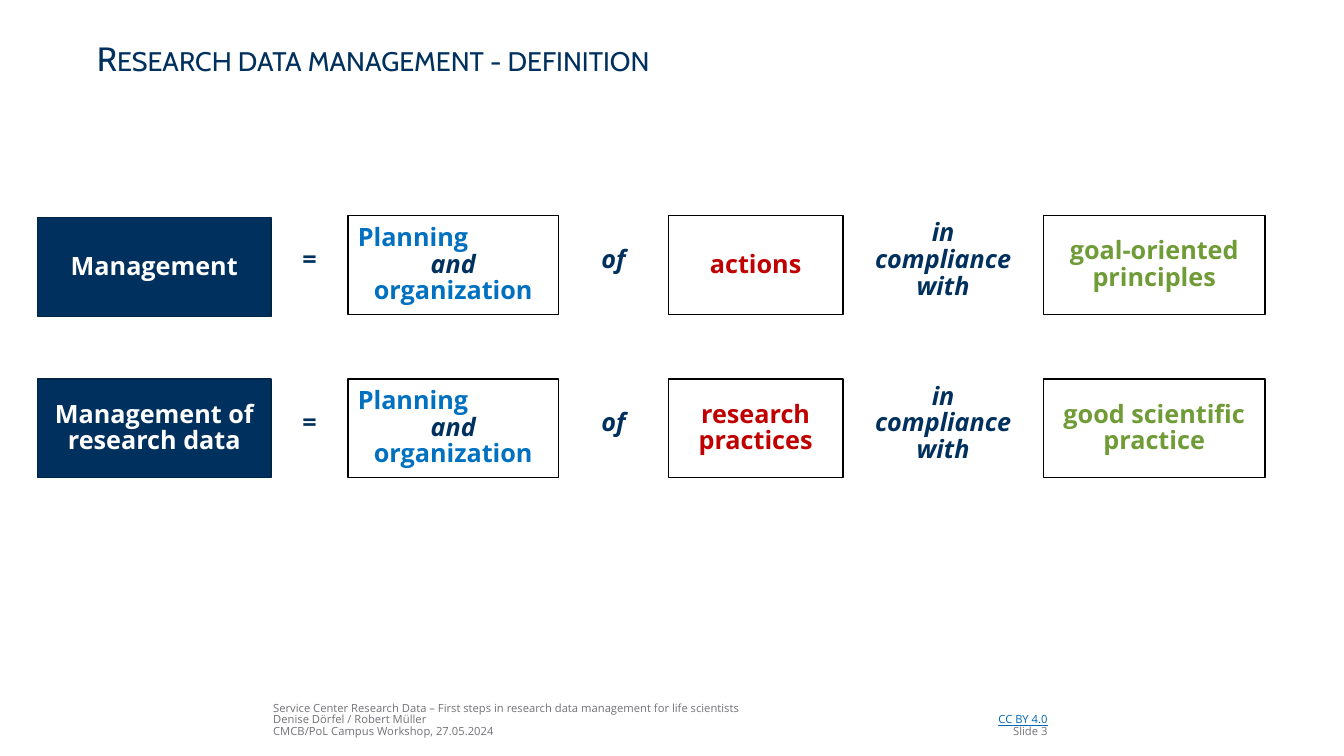
from dataclasses import dataclass
from itertools import accumulate

from lxml.etree import SubElement
from pptx import Presentation
from pptx.dml.color import RGBColor
from pptx.enum.shapes import MSO_SHAPE as Preset
from pptx.enum.text import MSO_ANCHOR as Anchor, MSO_AUTO_SIZE as AutoSize, PP_ALIGN as Align
from pptx.oxml.ns import qn
from pptx.util import Inches, Pt

SLIDE_WIDTH, SLIDE_HEIGHT = Inches(13.33), Inches(7.5)
COLORS = {
    "navy": "00305D",
    "navy edge": "002445",
    "white": "FFFFFF",
    "black": "000000",
    "blue": "0070C0",
    "red": "C00000",
    "green": "709C37",
    "grey": "727277",
    "link": "0069B4",
}

COLUMN_GAP = 0.86
COLUMN_WIDTHS = [17.4, 3.98, 15.68, 6.45, 12.98, 13.2, 16.5]
COLUMN_LEFTS = list(accumulate((width + COLUMN_GAP for width in COLUMN_WIDTHS[:-1]), initial=2.78))
ROW_TOPS = [28.53, 50.13]
ROW_HEIGHT = 13.07
OPERATOR_OFFSET, OPERATOR_HEIGHT = 4.2, 4.67
TERM_OFFSETS = [0.27, 0]


@dataclass(frozen=True)
class Area:
    left: float
    top: float
    width: float
    height: float


@dataclass(frozen=True)
class Run:
    text: str
    color: str
    italic: bool = False
    underline: bool = False


@dataclass(frozen=True)
class Line:
    runs: list[Run]
    align: Align = Align.CENTER


@dataclass(frozen=True)
class Definition:
    term: str
    subject: str
    standard: str


DEFINITIONS = [
    Definition("Management", "actions", "goal-oriented principles"),
    Definition("Management of research data", "research practices", "good scientific practice"),
]
PLANNING = [
    Line([Run("Planning", "blue")], Align.LEFT),
    Line([Run("and", "navy", italic=True), Run(" organization", "blue")]),
]


def color(name: str) -> RGBColor:
    return RGBColor.from_string(COLORS[name])


def single(text: str, color_name: str, italic: bool = False) -> list[Line]:
    return [Line([Run(text, color_name, italic)])]


def place(shape, area: Area) -> None:
    shape.left = round(SLIDE_WIDTH * area.left / 100)
    shape.top = round(SLIDE_HEIGHT * area.top / 100)
    shape.width = round(SLIDE_WIDTH * area.width / 100)
    shape.height = round(SLIDE_HEIGHT * area.height / 100)


def write_text(shape, lines: list[Line], *, size: float = 18, font: str = "Open Sans",
               bold: bool = True, anchor: Anchor = Anchor.TOP, spacing: float = 0.88,
               inset: bool = False, small_caps: bool = False) -> None:
    frame = shape.text_frame
    frame.word_wrap = True
    frame.auto_size = AutoSize.NONE
    frame.vertical_anchor = anchor
    frame.margin_left = frame.margin_right = Inches(0.1 if inset else 0)
    frame.margin_top = frame.margin_bottom = Inches(0.05 if inset else 0)
    for index, line in enumerate(lines):
        paragraph = frame.paragraphs[0] if index == 0 else frame.add_paragraph()
        paragraph.alignment = line.align
        paragraph.line_spacing = spacing
        paragraph.space_before = Pt(0)
        for part in line.runs:
            run = paragraph.add_run()
            run.text = part.text
            run.font.name = font
            run.font.size = Pt(size)
            run.font.bold = bold
            run.font.italic = part.italic
            run.font.underline = part.underline
            run.font.color.rgb = color(part.color)
            if small_caps:
                run.font._element.set("cap", "small")


def paint(shape, fill: str, edge: str) -> None:
    shape.fill.solid()
    shape.fill.fore_color.rgb = color(fill)
    shape.line.color.rgb = color(edge)
    shape.line.width = Pt(1)


def add_rectangle(slide, area: Area, fill: str, edge: str):
    shape = slide.shapes.add_shape(Preset.RECTANGLE, 0, 0, 0, 0)
    place(shape, area)
    shape.shadow.inherit = False
    paint(shape, fill, edge)
    return shape


def add_label(slide, area: Area, lines: list[Line], **text_format) -> None:
    label = slide.shapes.add_textbox(0, 0, 0, 0)
    place(label, area)
    write_text(label, lines, **text_format)


def remove_bullet(shape) -> None:
    properties = shape.text_frame.paragraphs[0]._p.get_or_add_pPr()
    properties.set("marL", "0")
    properties.set("indent", "0")
    SubElement(properties, qn("a:buNone"))


def cell(row: int, column: int, offset: float = 0, height: float = ROW_HEIGHT) -> Area:
    return Area(COLUMN_LEFTS[column], ROW_TOPS[row] + offset, COLUMN_WIDTHS[column], height)


def add_definition(slide, row: int, definition: Definition) -> None:
    term_area = cell(row, 0, TERM_OFFSETS[row])
    if row == 0:
        term = slide.placeholders[1]
        place(term, term_area)
        paint(term, "navy", "navy edge")
        remove_bullet(term)
    else:
        term = add_rectangle(slide, term_area, "navy", "navy edge")
    write_text(term, single(definition.term, "white"), anchor=Anchor.MIDDLE)

    boxes = {
        2: PLANNING,
        4: single(definition.subject, "red"),
        6: single(definition.standard, "green"),
    }
    for column, lines in boxes.items():
        box = add_rectangle(slide, cell(row, column), "white", "black")
        write_text(box, lines, anchor=Anchor.MIDDLE, inset=True)

    for column, text, italic in [(1, "=", False), (3, "of", True)]:
        area = cell(row, column, OPERATOR_OFFSET, OPERATOR_HEIGHT)
        add_label(slide, area, single(text, "navy", italic))
    add_label(slide, cell(row, 5), single("in compliance with", "navy", True), inset=True)


def add_footer(slide) -> None:
    footer_format = {"size": 8, "bold": False, "anchor": Anchor.BOTTOM, "spacing": 0.86}
    event = [
        "Service Center Research Data – First steps in research data management for life scientists",
        "Denise Dörfel / Robert Müller",
        "CMCB/PoL Campus Workshop, 27.05.2024",
    ]
    event_lines = [Line([Run(text, "grey")], Align.LEFT) for text in event]
    add_label(slide, Area(20.33, 92.27, 36.76, 5.33), event_lines, **footer_format)
    licence_lines = [
        Line([Run("CC BY 4.0", "link", underline=True)], Align.RIGHT),
        Line([Run("Slide 3", "grey")], Align.RIGHT),
    ]
    add_label(slide, Area(71.57, 92.93, 6.38, 4.67), licence_lines, **footer_format)


def main() -> None:
    presentation = Presentation()
    presentation.slide_width, presentation.slide_height = SLIDE_WIDTH, SLIDE_HEIGHT
    slide = presentation.slides.add_slide(presentation.slide_layouts[1])
    title = slide.shapes.title
    place(title, Area(7.2, 5.07, 86.8, 7.47))
    title_lines = [Line([Run("Research data management - definition", "navy")], Align.LEFT)]
    write_text(title, title_lines, size=24, font="Cabin", bold=False, spacing=1, small_caps=True)
    for row, definition in enumerate(DEFINITIONS):
        add_definition(slide, row, definition)
    add_footer(slide)
    presentation.save("out.pptx")


if __name__ == "__main__":
    main()
